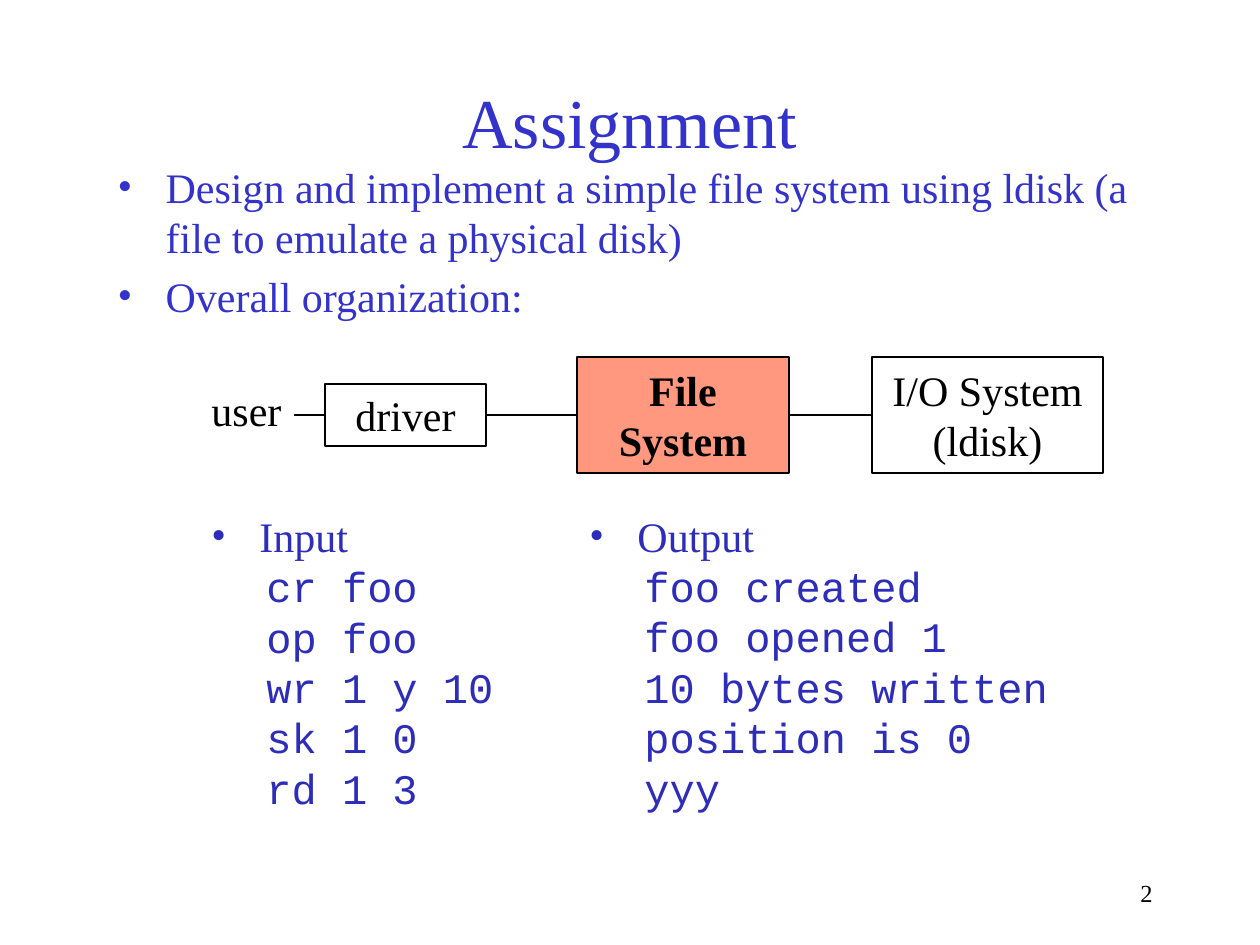
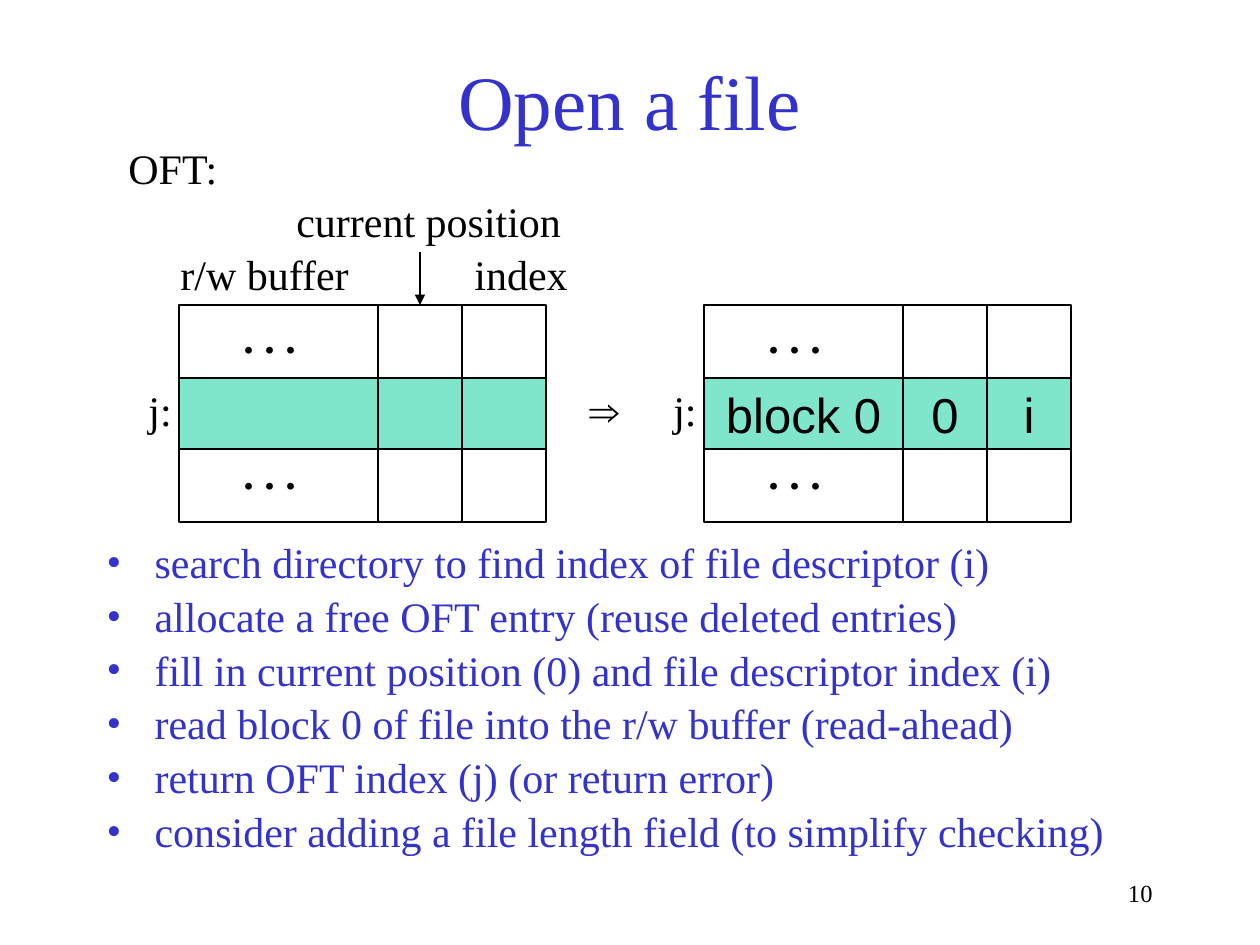
from lxml import etree
from pptx import Presentation
from pptx import util as u
from pptx.dml.color import RGBColor
from pptx.enum import shapes, text
from pptx.oxml.ns import qn

PX = u.Inches(1) / 126
BLUE = RGBColor(0x33, 0x33, 0xCC)
DEEP_BLUE = RGBColor(0x2D, 0x2D, 0xB9)
BLACK = RGBColor(0, 0, 0)
ORANGE = RGBColor(0xFF, 0x33, 0x00)
GREEN = RGBColor(0x00, 0xCC, 0x99)
SERIF, SANS, MONO = "Times New Roman", "Arial", "Courier New"
LEFT, CENTER, RIGHT = text.PP_ALIGN.LEFT, text.PP_ALIGN.CENTER, text.PP_ALIGN.RIGHT
RECT = shapes.MSO_SHAPE.RECTANGLE
HANGING = 48


def put(shape, box, lines=(), size=24, color=BLACK, font=SERIF, align=LEFT,
        bold=False, bullets=0, spacing=None, fill=None):
    """Place a shape and fill it with text; the first `bullets` lines get a bullet."""
    shape.left, shape.top, shape.width, shape.height = (round(n * PX) for n in box)
    if shape.shape_type == shapes.MSO_SHAPE_TYPE.AUTO_SHAPE:
        shape.shadow.inherit = False
        shape.line.color.rgb = BLACK
        shape.line.width = u.Pt(0.75)
        if fill is None:
            shape.fill.background()
        else:
            shape.fill.solid()
            shape.fill.fore_color.rgb = fill
            tint = shape._element.spPr.find(qn("a:solidFill"))[0]
            etree.SubElement(tint, qn("a:alpha"), val="50000")
    frame = shape.text_frame
    frame.word_wrap = True
    frame.auto_size = text.MSO_AUTO_SIZE.NONE
    frame.text = "\n".join(lines)
    for number, paragraph in enumerate(frame.paragraphs):
        paragraph.alignment = align
        if number < bullets:
            props = paragraph._p.get_or_add_pPr()
            props.set("marL", str(round(HANGING * PX)))
            props.set("indent", str(round(-HANGING * PX)))
            tint = etree.SubElement(props, qn("a:buClr"))
            etree.SubElement(tint, qn("a:srgbClr"), val=str(color))
            etree.SubElement(props, qn("a:buFont"), typeface=SERIF)
            etree.SubElement(props, qn("a:buChar"), char="•")
            paragraph.space_before = u.Pt(4.8)
        if spacing:
            paragraph.line_spacing = spacing
        paragraph.font.name = font
        paragraph.font.size = u.Pt(size)
        paragraph.font.bold = bold
        paragraph.font.color.rgb = color
    return shape


def draw_line(slide, x1, y1, x2, y2):
    line = slide.shapes.add_connector(
        shapes.MSO_CONNECTOR.STRAIGHT, *(round(n * PX) for n in (x1, y1, x2, y2)))
    line.line.color.rgb = BLACK
    line.line.width = u.Pt(0.75)
    etree.SubElement(line._element.spPr, qn("a:effectLst"))
    return line


deck = Presentation()
deck.slide_width, deck.slide_height = u.Inches(10), u.Inches(7.5)

# Titles, bullet lists and page numbers
pages = [
    ("Assignment", 40, (94, 84, 1071, 73), (105, 155, 1071, 179), None, "2",
     ["Design and implement a simple file system using ldisk (a file to emulate a physical disk)",
      "Overall organization:"]),
    ("Open a file", 44, (94, 53, 1071, 94), (94, 536, 1092, 343), 0.9, "10",
     ["search directory to find index of file descriptor (i)",
      "allocate a free OFT entry (reuse deleted entries)",
      "fill in current position (0) and file descriptor index (i)",
      "read block 0 of file into the r/w buffer (read-ahead)",
      "return OFT index (j) (or return error)",
      "consider adding a file length field (to simplify checking)"]),
]
for title, title_size, title_box, list_box, spacing, page, points in pages:
    slide = deck.slides.add_slide(deck.slide_layouts[1])
    put(slide.shapes.title, title_box, [title], title_size, BLUE, align=CENTER)
    put(slide.placeholders[1], list_box, points, color=BLUE,
        bullets=len(points), spacing=spacing)
    put(slide.shapes.add_textbox(0, 0, 0, 0), (903, 872, 262, 53), [page], 14, align=RIGHT)
assignment, open_file = deck.slides

# Assignment: chain from user to I/O system
put(assignment.shapes.add_textbox(0, 0, 0, 0), (199, 378, 117, 63), ["user"])
stages = [
    ((325, 384, 161, 62), ["driver"], False, None),
    ((577, 357, 212, 116), ["File", "System"], True, ORANGE),
    ((872, 357, 231, 116), ["I/O System", "(ldisk)"], False, None),
]
previous = None
for box, lines, bold, fill in stages:
    stage = put(assignment.shapes.add_shape(RECT, 0, 0, 0, 0), box, lines,
                align=CENTER, bold=bold, fill=fill)
    link = draw_line(assignment, 294, 415, box[0], 415)
    if previous is not None:
        link.begin_connect(previous, 3)
    link.end_connect(stage, 1)
    previous = stage

# Assignment: sample session
sessions = [
    ((199, 504, 397, 387), ["Input", "cr foo", "op foo", "wr 1 y 10", "sk 1 0", "rd 1 3"]),
    ((577, 504, 534, 367), ["Output", "foo created", "foo opened 1", "10 bytes written",
                            "position is 0", "yyy"]),
]
for box, lines in sessions:
    session = put(assignment.shapes.add_textbox(0, 0, 0, 0), box, lines,
                  color=DEEP_BLUE, bullets=1)
    for command in session.text_frame.paragraphs[1:]:
        command.level = 1
        command.font.name = MONO
        props = command._p.get_or_add_pPr()
        props.set("marL", str(round(55 * PX)))
        props.set("indent", "0")

# Open a file: open file table before and after
COLUMNS = [179, 378, 462, 546]
ROWS = [305, 378, 449, 522]
for shift, entry in ((0, ["", "", ""]), (525, ["block 0", "0", "i"])):
    edges = [x + shift for x in COLUMNS]
    for top, bottom, dots_top in ((ROWS[0], ROWS[1], 305), (ROWS[2], ROWS[3], 441)):
        put(open_file.shapes.add_shape(RECT, 0, 0, 0, 0),
            (edges[0], top, edges[3] - edges[0], bottom - top))
        for x in edges[1:3]:
            draw_line(open_file, x, top, x, bottom)
        put(open_file.shapes.add_textbox(0, 0, 0, 0), (231 + shift, dots_top, 95, 63),
            [". . ."], bold=True)
    for left, right, value in zip(edges, edges[1:], entry):
        put(open_file.shapes.add_shape(RECT, 0, 0, 0, 0),
            (left, ROWS[1], right - left, ROWS[2] - ROWS[1]),
            [value], 28, font=SANS, align=CENTER, fill=GREEN)
    put(open_file.shapes.add_textbox(0, 0, 0, 0), (136 + shift, 378, 63, 63), ["j:"])

for label, left, top, width, bold in (
        ("OFT:", 116, 136, 126, False),
        ("current position", 284, 189, 300, False),
        ("r/w buffer", 168, 242, 205, False),
        ("index", 462, 242, 130, False),
        ("⇒", 577, 378, 73, True)):
    put(open_file.shapes.add_textbox(0, 0, 0, 0), (left, top, width, 63), [label], bold=bold)
pointer = draw_line(open_file, 420, 252, 420, 305)
etree.SubElement(pointer.line._get_or_add_ln(), qn("a:tailEnd"), type="triangle")

deck.save("out.pptx")
